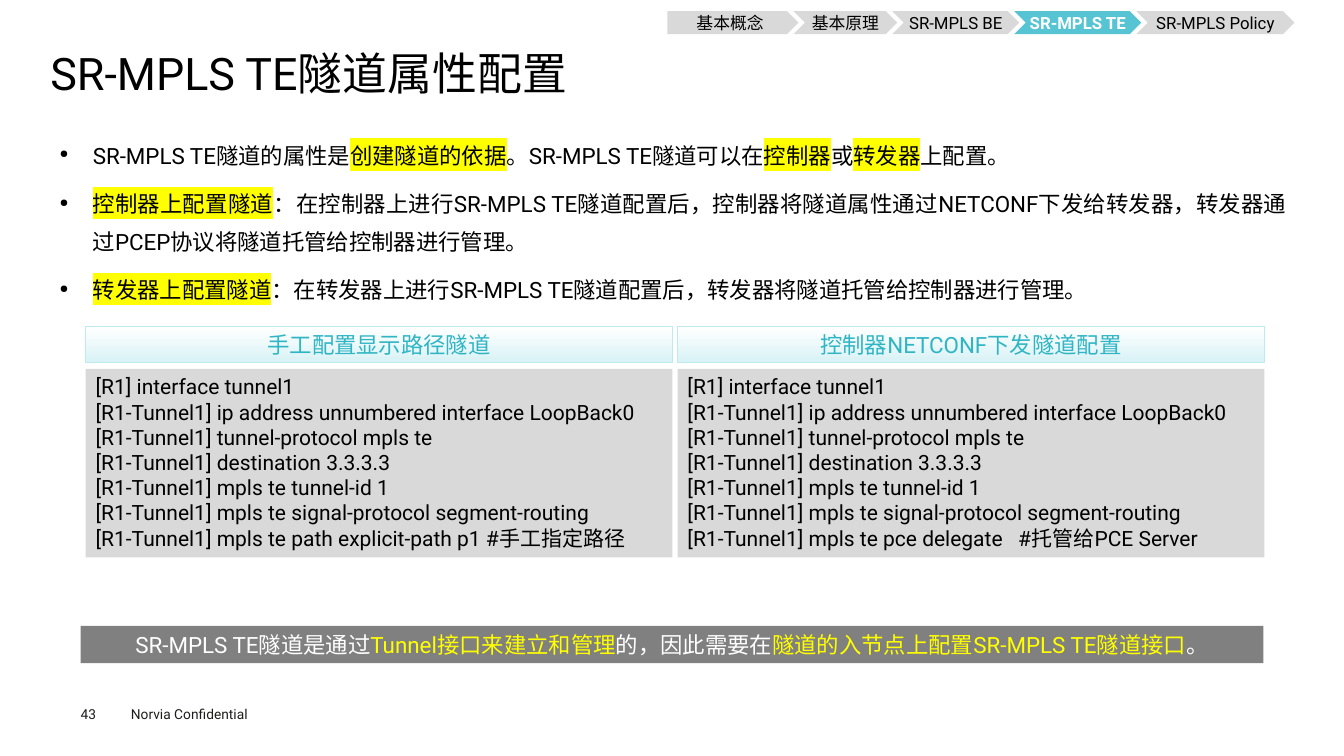
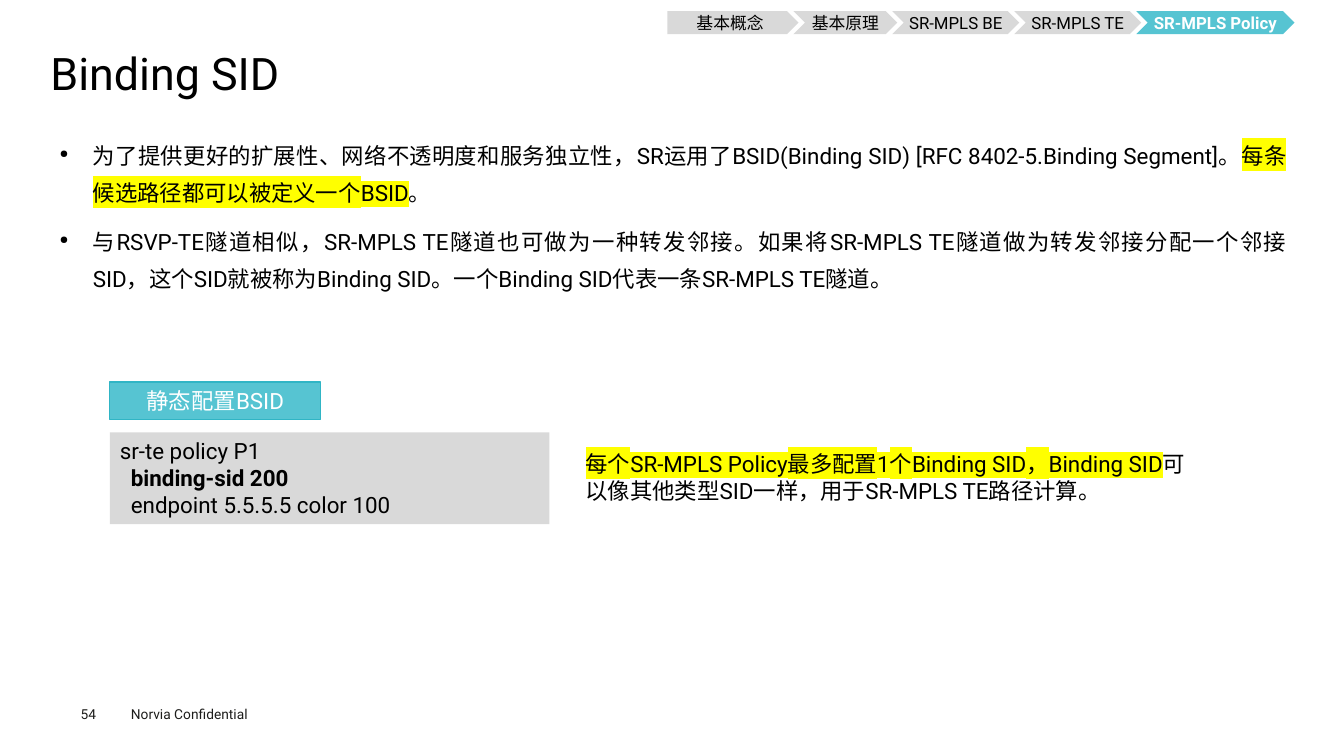
from lxml import etree
from pptx import Presentation
from pptx.dml.color import RGBColor
from pptx.enum.shapes import MSO_SHAPE
from pptx.enum.text import MSO_ANCHOR, PP_ALIGN
from pptx.oxml.ns import qn
from pptx.util import Inches, Pt

RECT, PLATE, CHEVRON = MSO_SHAPE.RECTANGLE, MSO_SHAPE.PENTAGON, MSO_SHAPE.CHEVRON
TOP, MIDDLE = MSO_ANCHOR.TOP, MSO_ANCHOR.MIDDLE
LEFT, CENTER, JUSTIFY = PP_ALIGN.LEFT, PP_ALIGN.CENTER, PP_ALIGN.JUSTIFY

COLORS = {
    "black": "000000", "white": "FFFFFF", "footer": "1D1D1B",
    "grey": "D9D9D9", "dark": "808080", "yellow": "FFFF00",
    "teal": "56C4D2", "deep_teal": "30B5C5", "pale_teal": "BEE9EE", "mist": "D8F2F5",
}
RGB = {name: RGBColor.from_string(value) for name, value in COLORS.items()}
FONT = "Roboto"

# Shared grid, in inches
MARGIN, CONTENT_W = 0.5, 12.35
PANEL_X, PANEL_W, PANEL_GAP = 0.85, 5.82, 0.05
TRAIL_X, TRAIL_Y, TRAIL_H, TRAIL_OVERLAP = 6.62, 0.11, 0.23, 0.05
TRAIL = [("基本概念", 1.3), ("基本原理", 1.03), ("SR-MPLS BE", 1.26),
         ("SR-MPLS TE", 1.26), ("SR-MPLS Policy", 1.57)]
NO_INSET, NORMAL_INSET, BODY_INSET = (0, 0), (0.1, 0.05), (0.09, 0.04)
BULLET_INDENT = Inches(0.33)


def add_box(slide, place, kind=None, fill=None, line=None, line_width=0.75):
    """Add a text box, or a flat preset shape when a kind is given."""
    place = [Inches(length) for length in place]
    if kind is None:
        return slide.shapes.add_textbox(*place)
    box = slide.shapes.add_shape(kind, *place)
    box.shadow.inherit = False
    if fill == "fade":
        box.fill.gradient()
        box.fill.gradient_angle = 270
        for stop, color in zip(box.fill.gradient_stops, ("white", "mist")):
            stop.color.rgb = RGB[color]
    else:
        box.fill.solid()
        box.fill.fore_color.rgb = RGB[fill]
    if line:
        box.line.color.rgb = RGB[line]
        box.line.width = Pt(line_width)
    else:
        box.line.fill.background()
    return box


def write(box, lines, size, color="black", align=LEFT, anchor=TOP, inset=NORMAL_INSET,
          spacing=None, bullets=False, bold=False, accent=None):
    """Fill a box; parts between bars get the accent colour, marker or bold."""
    frame = box.text_frame
    frame.word_wrap = True
    frame.vertical_anchor = anchor
    frame.margin_left = frame.margin_right = Inches(inset[0])
    frame.margin_top = frame.margin_bottom = Inches(inset[1])
    frame.text = "\n".join(lines)
    for number, paragraph in enumerate(frame.paragraphs):
        parts = paragraph.text.split("|")
        paragraph.text = ""
        paragraph.alignment = align
        if spacing:
            paragraph.line_spacing = spacing
        if bullets:
            props = paragraph._p.get_or_add_pPr()
            props.set("marL", str(BULLET_INDENT))
            props.set("indent", str(-BULLET_INDENT))
            etree.SubElement(props, qn("a:buSzPct"), val="50000")
            etree.SubElement(props, qn("a:buChar"), char="●")
            if number:
                paragraph.space_before = Pt(7.9)
        for index, part in enumerate(parts):
            if not part:
                continue
            run = paragraph.add_run()
            run.text = part
            stressed = index % 2 == 1
            font = run.font
            font.size, font.name = Pt(size), FONT
            font.bold = bold or (stressed and accent == "bold")
            font.color.rgb = RGB["yellow" if stressed and accent == "yellow" else color]
            if stressed and accent == "marker":
                marker = etree.Element(qn("a:highlight"))
                etree.SubElement(marker, qn("a:srgbClr"), val=COLORS["yellow"])
                run._r.rPr.find(qn("a:solidFill")).addnext(marker)


prs = Presentation()
prs.slide_width, prs.slide_height = Inches(13.33), Inches(7.5)

PAGES = [
    ("43", "SR-MPLS TE", "SR-MPLS TE隧道属性配置", [
        "SR-MPLS TE隧道的属性是|创建隧道的依据|。SR-MPLS TE隧道可以在|控制器|或|转发器|上配置。",
        "|控制器上配置隧道|：在控制器上进行SR-MPLS TE隧道配置后，控制器将隧道属性通过NETCONF"
        "下发给转发器，转发器通过PCEP协议将隧道托管给控制器进行管理。",
        "|转发器上配置隧道|：在转发器上进行SR-MPLS TE隧道配置后，转发器将隧道托管给控制器进行管理。",
    ]),
    ("54", "SR-MPLS Policy", "Binding SID", [
        "为了提供更好的扩展性、网络不透明度和服务独立性，SR运用了BSID(Binding SID) "
        "[RFC 8402-5.Binding Segment]。|每条候选路径都可以被定义一个BSID|。",
        "与RSVP-TE隧道相似，SR-MPLS TE隧道也可做为一种转发邻接。如果将SR-MPLS TE隧道做为转发邻接"
        "分配一个邻接SID，这个SID就被称为Binding SID。一个Binding SID代表一条SR-MPLS TE隧道。",
    ]),
]

# Footer, title, bullets and chapter trail on every slide
slides = []
for page_number, chapter, title, points in PAGES:
    slide = prs.slides.add_slide(prs.slide_layouts[6])
    slides.append(slide)
    write(add_box(slide, (1.2, 6.95, 1.6, 0.27)), ["Norvia Confidential"], 9.8, "footer")
    write(add_box(slide, (0.8, 7, 0.55, 0.16)), [page_number], 9.8, "footer", inset=NO_INSET)
    write(add_box(slide, (MARGIN, 0.49, CONTENT_W, 0.53)), [title], 32,
          anchor=MIDDLE, inset=NO_INSET, spacing=0.9)
    write(add_box(slide, (MARGIN, 1.26, CONTENT_W, 1.7)), points, 16, align=JUSTIFY,
          inset=BODY_INSET, spacing=1.4, bullets=True, accent="marker")
    step_x = TRAIL_X
    for step, (name, width) in enumerate(TRAIL):
        current = name == chapter
        tab = add_box(slide, (step_x, TRAIL_Y, width, TRAIL_H), CHEVRON if step else PLATE,
                      "teal" if current else "grey")
        write(tab, [name], 12, "white" if current else "black", CENTER, MIDDLE, NO_INSET,
              bold=current)
        step_x += width - TRAIL_OVERLAP

tunnel_slide, binding_slide = slides

# Two tunnel configurations side by side
TUNNEL_COMMANDS = [
    "[R1] interface tunnel1",
    "[R1-Tunnel1] ip address unnumbered interface LoopBack0",
    "[R1-Tunnel1] tunnel-protocol mpls te",
    "[R1-Tunnel1] destination 3.3.3.3",
    "[R1-Tunnel1] mpls te tunnel-id 1",
    "[R1-Tunnel1] mpls te signal-protocol segment-routing",
]
METHODS = [
    ("手工配置显示路径隧道", "[R1-Tunnel1] mpls te path explicit-path p1 #手工指定路径"),
    ("控制器NETCONF下发隧道配置", "[R1-Tunnel1] mpls te pce delegate   #托管给PCE Server"),
]
for column, (method, last_command) in enumerate(METHODS):
    panel_x = PANEL_X + column * (PANEL_W + PANEL_GAP)
    heading = add_box(tunnel_slide, (panel_x, 3.24, PANEL_W, 0.36), RECT, "fade", "pale_teal", 1)
    write(heading, [method], 16, "deep_teal", CENTER, MIDDLE, NO_INSET)
    commands = add_box(tunnel_slide, (panel_x, 3.66, PANEL_W, 1.87), RECT, "grey")
    write(commands, TUNNEL_COMMANDS + [last_command], 15)

# Conclusion band
conclusion = add_box(tunnel_slide, (0.8, 6.21, 11.73, 0.37), RECT, "dark")
write(conclusion, ["SR-MPLS TE隧道是通过|Tunnel接口来建立和管理|的，因此需要在"
                   "|隧道的入节点上配置SR-MPLS TE隧道接口|。"],
      16, "white", CENTER, MIDDLE, accent="yellow")

# Static binding SID example and its remark
example_heading = add_box(binding_slide, (1.09, 3.79, 2.09, 0.37), RECT, "teal", "deep_teal")
write(example_heading, ["静态配置BSID"], 16, "white", CENTER, MIDDLE, NO_INSET)
policy = add_box(binding_slide, (1.09, 4.29, 4.36, 0.91), RECT, "grey")
write(policy, ["sr-te policy P1", "|  binding-sid 200|", "  endpoint 5.5.5.5 color 100"], 16,
      accent="bold")
remark = add_box(binding_slide, (5.71, 4.42, 6.34, 0.64))
write(remark, ["|每个SR-MPLS Policy最多配置1个Binding SID，Binding SID|"
               "可以像其他类型SID一样，用于SR-MPLS TE路径计算。"], 16, accent="marker")

prs.save("out.pptx")
